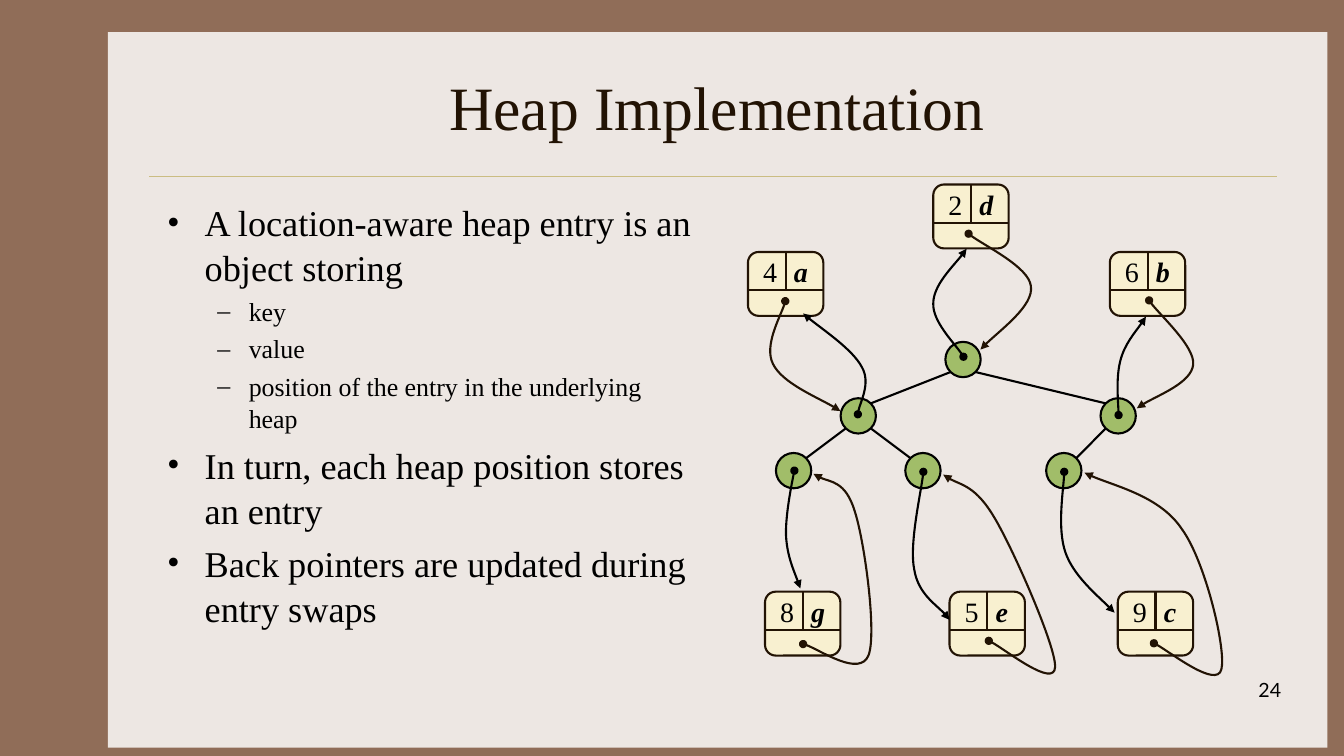
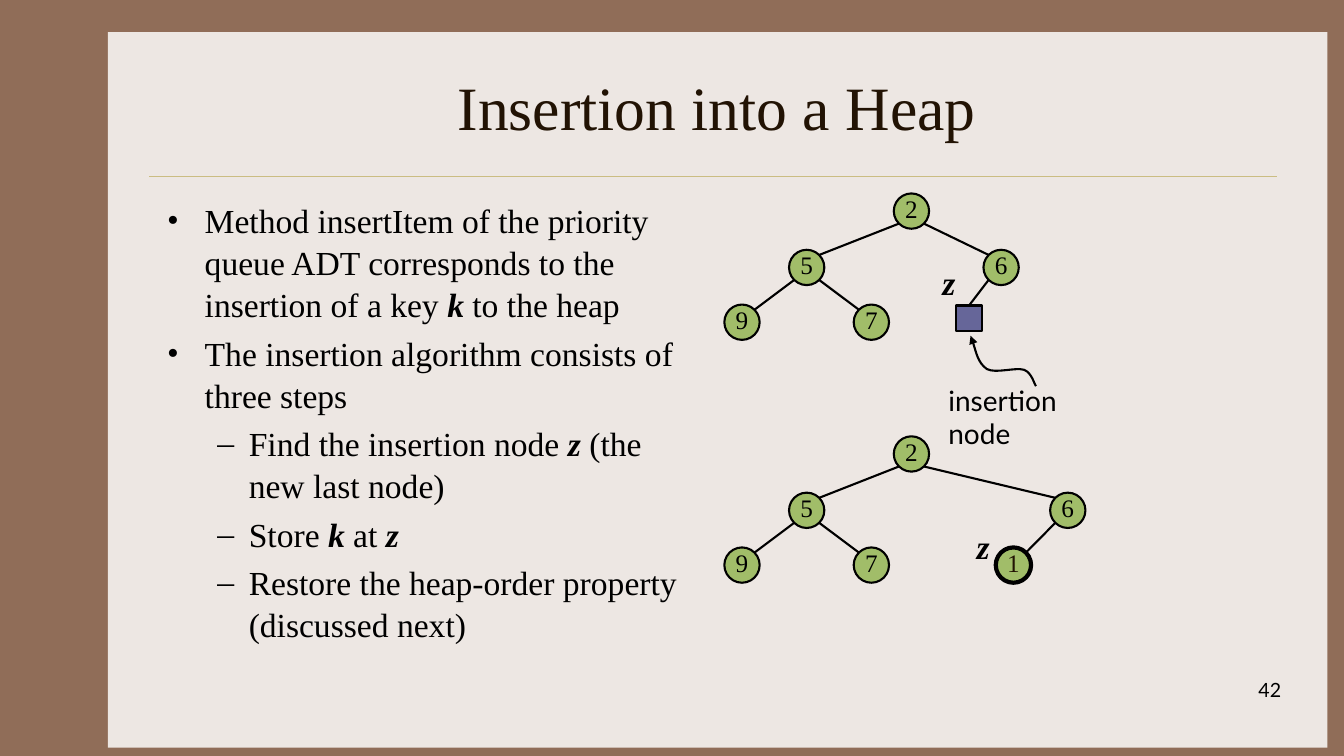
from dataclasses import dataclass

from lxml import etree
from pptx import Presentation
from pptx.dml.color import RGBColor
from pptx.enum.shapes import MSO_CONNECTOR, MSO_SHAPE
from pptx.enum.text import MSO_ANCHOR, PP_ALIGN
from pptx.oxml.ns import qn
from pptx.util import Cm, Pt

OVAL, RECT, ROUND = MSO_SHAPE.OVAL, MSO_SHAPE.RECTANGLE, MSO_SHAPE.ROUNDED_RECTANGLE
STRAIGHT = MSO_CONNECTOR.STRAIGHT
LEFT, CENTER, RIGHT = PP_ALIGN.LEFT, PP_ALIGN.CENTER, PP_ALIGN.RIGHT
MIDDLE = MSO_ANCHOR.MIDDLE


@dataclass(frozen=True)
class Theme:
    frame: str = "906D58"
    panel: str = "EDE7E3"
    rule: str = "CBBD83"
    ink: str = "221304"
    black: str = "000000"
    node: str = "A1BD69"
    entry: str = "F8F0D0"
    spot: str = "666699"
    serif: str = "Times New Roman"
    sans: str = "Lato"
    title: float = 44
    mark: float = 24
    label: float = 20
    key: float = 18
    page: float = 14
    line: float = 1.5
    bold: float = 3
    hair: float = 0.25


THEME = Theme()
NODE = 0.89
ENTRY_W, ENTRY_H, ENTRY_ROW = 1.9, 1.61, 0.96
# Bullet sign, left margin and hanging indent of each list level
LEVELS = [("•", 0.95, 0.95), ("–", 2.06, 0.79)]

ENTRIES = [
    ("4", "a", 18.85, 6.35), ("2", "d", 23.52, 4.65), ("6", "b", 27.97, 6.35),
    ("8", "g", 19.28, 14.91), ("5", "e", 23.93, 14.91), ("9", "c", 28.17, 14.91),
]

# Bézier points: a start, then two controls and an end for each segment
TO_NODE = [
    [(24.41, 5.89), (24.66, 6.12), (25.93, 6.73), (25.98, 7.21),
     (26.06, 7.7), (24.99, 8.48), (24.71, 8.81)],
    [(28.96, 7.57), (29.13, 7.85), (30.12, 8.74), (30.07, 9.19),
     (30.02, 9.65), (28.93, 10.06), (28.65, 10.29)],
    [(19.79, 7.59), (19.74, 7.85), (19.25, 8.71), (19.48, 9.17),
     (19.71, 9.65), (20.83, 10.11), (21.18, 10.36)],
    [(20.24, 16.23), (20.52, 16.28), (21.67, 17.07), (21.89, 16.51),
     (22.1, 15.95), (21.79, 13.64), (21.54, 12.88),
     (21.31, 12.12), (20.7, 12.12), (20.5, 11.94)],
    [(24.92, 16.15), (25.2, 16.26), (26.57, 17.35), (26.59, 16.81),
     (26.62, 16.31), (25.55, 13.87), (25.07, 13.06),
     (24.59, 12.24), (24.05, 12.19), (23.77, 11.96)],
    [(29.08, 16.21), (29.36, 16.33), (30.66, 17.35), (30.78, 16.87),
     (30.91, 16.38), (30.38, 14.15), (29.79, 13.34),
     (29.24, 12.5), (27.84, 12.19), (27.33, 11.91)],
]
TO_ENTRY = [
    [(21.62, 10.44), (21.62, 10.24), (21.95, 9.65), (21.72, 9.25),
     (21.49, 8.81), (20.55, 8.18), (20.24, 7.9)],
    [(28.19, 10.46), (28.19, 10.24), (28.12, 9.5), (28.24, 9.07),
     (28.35, 8.66), (28.75, 8.2), (28.88, 7.98)],
    [(24.28, 8.99), (24.16, 8.76), (23.5, 8.1), (23.52, 7.65),
     (23.52, 7.19), (24.18, 6.55), (24.36, 6.27)],
    [(26.82, 11.89), (26.82, 12.22), (26.64, 13.31), (26.85, 13.92),
     (27.05, 14.5), (27.81, 15.14), (28.09, 15.44)],
    [(23.27, 11.89), (23.24, 12.29), (22.91, 13.72), (23.04, 14.35),
     (23.14, 14.96), (23.75, 15.34), (23.93, 15.62)],
    [(20.02, 11.86), (19.96, 12.14), (19.79, 13.03), (19.81, 13.51),
     (19.84, 14.02), (20.09, 14.58), (20.17, 14.83)],
]
TO_SPOT = [(26.11, 9.73), (26.06, 9.68), (26.01, 9.4), (25.81, 9.32),
           (25.58, 9.25), (25.1, 9.42), (24.87, 9.3),
           (24.64, 9.14), (24.54, 8.64), (24.46, 8.46)]

HEAP_LIST = [
    (0, "A location-aware heap entry is an object storing"),
    (1, "key"),
    (1, "value"),
    (1, "position of the entry in the underlying heap"),
    (0, "In turn, each heap position stores an entry"),
    (0, "Back pointers are updated during entry swaps"),
]
INSERT_LIST = [
    (0, "Method insertItem of the priority queue ADT corresponds to the "
        "insertion of a key *k* to the heap"),
    (0, "The insertion algorithm consists of three steps"),
    (1, "Find the insertion node *z* (the new last node)"),
    (1, "Store *k* at *z*"),
    (1, "Restore the heap-order property (discussed next)"),
]


def color(code):
    return RGBColor.from_string(code)


def style(para, size, ink=THEME.black, face=THEME.serif, align=LEFT, strong=False):
    para.alignment = align
    font = para.font
    font.name, font.size, font.color.rgb = face, Pt(size), color(ink)
    if strong:
        font.bold = font.italic = True


def stroke(item, ink, width):
    item.line.color.rgb = color(ink)
    item.line.width = Pt(width)


def block(shapes, kind, x, y, w, h, fill, ink=None, width=THEME.line):
    shape = shapes.add_shape(kind, Cm(x), Cm(y), Cm(w), Cm(h))
    shape.shadow.inherit = False
    shape.fill.solid()
    shape.fill.fore_color.rgb = color(fill)
    if ink:
        stroke(shape, ink, width)
    else:
        shape.line.fill.background()
    return shape


def wire(shapes, start, end, ink=THEME.black, width=THEME.line):
    ends = [Cm(n) for n in (*start, *end)]
    line = shapes.add_connector(STRAIGHT, *ends)
    stroke(line, ink, width)
    etree.SubElement(line.element.spPr, qn("a:effectLst"))
    return line


def label(shapes, text, x, y, w, h, size, **look):
    frame = shapes.add_textbox(Cm(x), Cm(y), Cm(w), Cm(h)).text_frame
    frame.word_wrap = True
    frame.text = text
    style(frame.paragraphs[0], size, **look)


def curve(shapes, points, ink=THEME.black, dot=True):
    """Draw a Bézier arrow, with a dot at its start if asked."""
    first, *rest = [(Cm(x), Cm(y)) for x, y in points]
    pen = shapes.build_freeform(*first)
    pen.add_line_segments(rest, close=False)
    shape = pen.convert_to_shape()
    shape.shadow.inherit = False
    shape.fill.background()
    stroke(shape, ink, THEME.line)
    # Each run of three straight steps becomes one cubic segment
    steps = list(shape.element.iter(qn("a:lnTo")))
    for i in range(0, len(steps), 3):
        cubic = etree.Element(qn("a:cubicBezTo"))
        steps[i].addprevious(cubic)
        for step in steps[i:i + 3]:
            cubic.append(step[0])
            step.getparent().remove(step)
    line = shape.element.spPr.find(qn("a:ln"))
    if dot:
        etree.SubElement(line, qn("a:headEnd"), type="oval")
    etree.SubElement(line, qn("a:tailEnd"), type="triangle")


def node(shapes, center, text="", ink=THEME.black, width=THEME.line):
    x, y = (n - NODE / 2 for n in center)
    shape = block(shapes, OVAL, x, y, NODE, NODE, THEME.node, THEME.black, width)
    if text:
        frame = shape.text_frame
        frame.margin_left = frame.margin_top = frame.margin_right = 0
        frame.margin_bottom = Cm(0.13)
        frame.word_wrap = False
        frame.vertical_anchor = MIDDLE
        frame.text = text
        style(frame.paragraphs[0], THEME.key, ink, align=CENTER)


def edge(shapes, top, low):
    """Join two nodes at the diagonal points that face each other."""
    reach = NODE / 2 * 0.71
    side = reach if low[0] > top[0] else -reach
    wire(shapes, (top[0] + side, top[1] + reach), (low[0] - side, low[1] - reach))


def tree(shapes, x, y, span, keys=("",) * 5):
    """Draw a five-node heap; return its right child and the place below it."""
    mid, low = y + 1.42, y + 2.8
    root, left, right = (x, y), (x - 2.64, mid), (x + span, mid)
    leaves = [(left[0] + step, low) for step in (-1.63, 1.63)]
    for center, key in zip([root, left, right, *leaves], keys):
        node(shapes, center, key)
    for top, child in [(root, left), (root, right), *((left, leaf) for leaf in leaves)]:
        edge(shapes, top, child)
    return right, (right[0] - 1.37, low)


def entry(shapes, key, value, x, y):
    parts = shapes.add_group_shape().shapes
    block(parts, ROUND, x, y, ENTRY_W, ENTRY_H, THEME.entry, THEME.ink)
    row, mid = y + ENTRY_ROW, x + ENTRY_W / 2
    wire(parts, (x, row), (x + ENTRY_W, row), THEME.ink)
    wire(parts, (mid, y), (mid, row), THEME.ink)
    label(parts, key, x + 0.13, y - 0.05, 0.9, 1.09, THEME.label)
    label(parts, value, x + 0.91, y - 0.05, 0.9, 1.09, THEME.label, strong=True)


def bullets(shapes, items, sizes):
    """Write (level, text) items; text between asterisks is bold italic."""
    frame = shapes.add_textbox(Cm(3.96), Cm(4.88), Cm(13.82), Cm(11.43)).text_frame
    frame.word_wrap = True
    for i, (level, text) in enumerate(items):
        para = frame.add_paragraph() if i else frame.paragraphs[0]
        sign, margin, hang = LEVELS[level]
        para.level = level
        para.line_spacing = 1.045
        para.space_before = Pt(sizes[level] * 0.2 if i else 0)
        props = para._p.get_or_add_pPr()
        props.set("marL", str(Cm(margin)))
        props.set("indent", str(-Cm(hang)))
        etree.SubElement(props, qn("a:buFont"), typeface=THEME.serif)
        etree.SubElement(props, qn("a:buChar"), char=sign)
        style(para, sizes[level])
        for n, part in enumerate(text.split("*")):
            if part:
                run = para.add_run()
                run.text = part
                if n % 2:
                    run.font.bold = run.font.italic = True


def page(deck, title, number):
    slide = deck.slides.add_slide(deck.slide_layouts[5])
    head = slide.shapes.title
    head.left, head.top, head.width, head.height = (
        Cm(n) for n in (3.96, 1.07, 28.22, 3.18))
    head.text_frame.vertical_anchor = MIDDLE
    head.text_frame.text = title
    style(head.text_frame.paragraphs[0], THEME.title, THEME.ink, align=CENTER)
    label(slide.shapes, number, 25.48, 16.97, 7.06, 1.27, THEME.page,
          face=THEME.sans, align=RIGHT)
    return slide.shapes


def backdrop(deck, shapes):
    """Draw the frame and move it to the layout, for all slides."""
    back = deck.slide_master.background.fill
    back.solid()
    back.fore_color.rgb = color(THEME.frame)
    panel = block(shapes, RECT, 2.72, 0.81, 30.73, 18.03, THEME.panel)
    rule = wire(shapes, (3.76, 4.45), (32.18, 4.45), THEME.rule, THEME.hair)
    for place, part in enumerate((panel, rule), 2):
        deck.slide_layouts[5].shapes.element.insert(place, part.element)


def heap(shapes):
    bullets(shapes, HEAP_LIST, (25.9, 18.5))
    right, last = tree(shapes, 24.27, 9.06, 3.91)
    node(shapes, last)
    edge(shapes, right, last)
    for item in ENTRIES:
        entry(shapes, *item)
    for points in TO_NODE:
        curve(shapes, points, THEME.ink)
    for points in TO_ENTRY:
        curve(shapes, points)


def insertion(shapes):
    bullets(shapes, INSERT_LIST, (24, 24))
    keys = "25697"
    right, _ = tree(shapes, 22.97, 5.32, 2.26, keys)
    block(shapes, RECT, 24.1, 7.7, 0.65, 0.65, THEME.spot, THEME.black)
    wire(shapes, (right[0] - 0.32, right[1] + 0.32), (24.42, 7.7))
    curve(shapes, TO_SPOT, dot=False)
    label(shapes, "insertion node", 23.65, 9.53, 3.6, 1.9, THEME.label, face=THEME.sans)
    right, last = tree(shapes, 22.97, 11.44, 3.94, keys)
    edge(shapes, right, last)
    node(shapes, last, "1", THEME.ink, THEME.bold)
    for x, y in [(23.5, 6.48), (24.36, 13.13)]:
        label(shapes, "z", x, y, 0.85, 1.27, THEME.mark, strong=True)


def main():
    deck = Presentation()
    deck.slide_width, deck.slide_height = Cm(33.87), Cm(19.05)
    first = page(deck, "Heap Implementation", "24")
    backdrop(deck, first)
    heap(first)
    insertion(page(deck, "Insertion into a Heap", "42"))
    deck.save("out.pptx")


if __name__ == "__main__":
    main()
